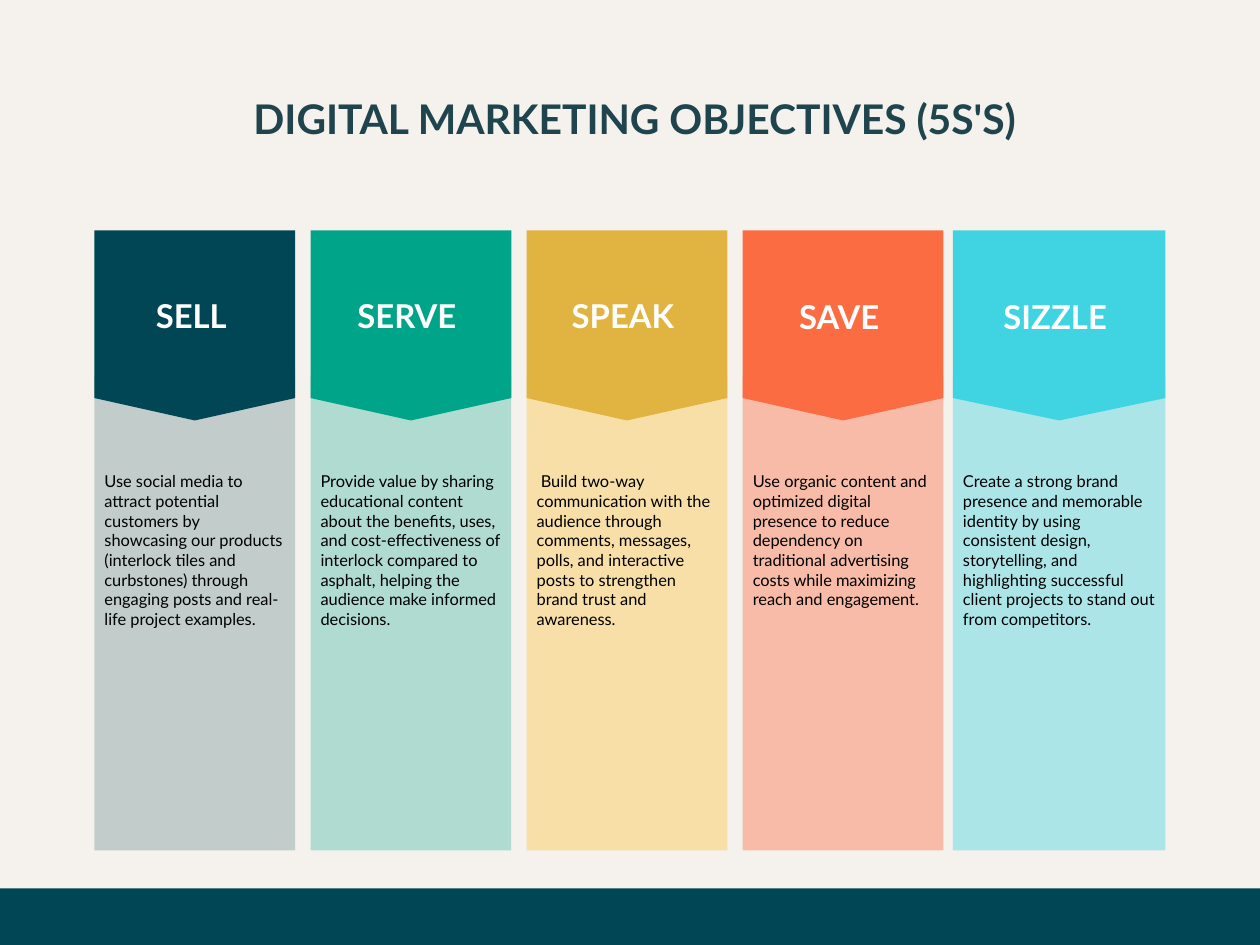
"""Build a slide of five marketing goals, one coloured column each."""
import dataclasses

import lxml.etree
import pptx
import pptx.dml.color
import pptx.enum.shapes
import pptx.enum.text
import pptx.oxml.ns
import pptx.shapes.autoshape
import pptx.slide
import pptx.text.text
import pptx.util

RGBColor = pptx.dml.color.RGBColor
Inches = pptx.util.Inches
Pt = pptx.util.Pt
Align = pptx.enum.text.PP_ALIGN
Box = pptx.enum.shapes.MSO_SHAPE.RECTANGLE

CREAM = RGBColor(0xF5, 0xF1, 0xEC)
SLATE = RGBColor(0x1F, 0x44, 0x4D)
NAVY = RGBColor(0x00, 0x46, 0x54)
GREEN = RGBColor(0x00, 0xA5, 0x89)
GOLD = RGBColor(0xE1, 0xB4, 0x41)
AMBER = RGBColor(0xFA, 0xC5, 0x41)
CORAL = RGBColor(0xFC, 0x6C, 0x43)
CYAN = RGBColor(0x40, 0xD4, 0xE2)
WHITE = RGBColor(0xFF, 0xFF, 0xFF)
BLACK = RGBColor(0x00, 0x00, 0x00)

WIDE, HIGH = 10.67, 8
LEFT, STEP = 0.8, 1.83
PAD = 0.085
TOP, EDGE, TIP = 1.95, 3.37, 3.56
BODY, BASE = 3.18, 7.2
FOOT = 7.52


@dataclasses.dataclass(frozen=True)
class Goal:
    """One column of the slide."""

    name: str
    text: str
    head: RGBColor
    tint: RGBColor
    alpha: int
    width: float = 1.7
    shift: float = 0
    drop: float = 2.5


GOALS = [
    Goal("SELL ", "Use social media to attract potential customers by showcasing our products "
         "(interlock tiles and curbstones) through engaging posts and real-life project examples.",
         NAVY, NAVY, 21),
    Goal("SERVE ", "Provide value by sharing educational content about the benefits, uses, and "
         "cost-effectiveness of interlock compared to asphalt, helping the audience make "
         "informed decisions.", GREEN, GREEN, 28),
    Goal("SPEAK ", " Build two-way communication with the audience through comments, messages, "
         "polls, and interactive posts to strengthen brand trust and awareness.",
         GOLD, AMBER, 40),
    Goal("SAVE ", "Use organic content and optimized digital presence to reduce dependency on "
         "traditional advertising costs while maximizing reach and engagement.",
         CORAL, CORAL, 40, drop=2.51),
    Goal("SIZZLE ", "Create a strong brand presence and memorable identity by using consistent "
         "design, storytelling, and highlighting successful client projects to stand out from "
         "competitors.", CYAN, CYAN, 40, width=1.8, shift=-0.05, drop=2.51),
]


def paint(shape: pptx.shapes.autoshape.Shape, color: RGBColor, alpha: int = 100) -> None:
    """Give a shape a flat fill with no line or shadow."""
    shape.shadow.inherit = False
    shape.line.fill.background()
    shape.fill.solid()
    shape.fill.fore_color.rgb = color
    if alpha < 100:
        qn = pptx.oxml.ns.qn
        tone = shape.element.spPr.find(f"{qn('a:solidFill')}/{qn('a:srgbClr')}")
        lxml.etree.SubElement(tone, qn("a:alpha"), val=str(alpha * 1000))


def draw_box(slide: pptx.slide.Slide, x: float, y: float, w: float, h: float,
             color: RGBColor, alpha: int = 100) -> None:
    """Draw a plain filled box."""
    box = slide.shapes.add_shape(Box, Inches(x), Inches(y), Inches(w), Inches(h))
    paint(box, color, alpha)


def draw_flag(slide: pptx.slide.Slide, x: float, w: float, color: RGBColor) -> None:
    """Draw a column head that ends in a point."""
    spots = [(x + w, TOP), (x + w, EDGE), (x + w / 2, TIP), (x, EDGE)]
    form = slide.shapes.build_freeform(Inches(x), Inches(TOP), scale=1.0)
    form.add_line_segments([(Inches(a), Inches(b)) for a, b in spots], close=True)
    paint(form.convert_to_shape(), color)


def write(frame: pptx.text.text.TextFrame, text: str, size: float, lead: float,
          color: RGBColor, bold: bool, align: Align) -> None:
    """Set one run of text in a frame with no margins."""
    frame.word_wrap = True
    frame.auto_size = pptx.enum.text.MSO_AUTO_SIZE.NONE
    frame.vertical_anchor = pptx.enum.text.MSO_ANCHOR.TOP
    frame.margin_left = frame.margin_right = frame.margin_top = frame.margin_bottom = 0
    para = frame.paragraphs[0]
    para.alignment = align
    para.line_spacing = Pt(lead)
    run = para.add_run()
    run.text = text
    run.font.name = "Lato"
    run.font.size = Pt(size)
    run.font.bold = bold
    run.font.color.rgb = color


def add_text(slide: pptx.slide.Slide, x: float, y: float, w: float,
             h: float) -> pptx.text.text.TextFrame:
    """Add a text box and return its frame."""
    return slide.shapes.add_textbox(Inches(x), Inches(y), Inches(w), Inches(h)).text_frame


def draw_goal(slide: pptx.slide.Slide, x: float, goal: Goal) -> None:
    """Draw one column with its head and words."""
    draw_box(slide, x, BODY, goal.width, BASE - BODY, goal.tint, goal.alpha)
    draw_flag(slide, x, goal.width, goal.head)
    left, room = x + PAD, goal.width - 2 * PAD
    write(add_text(slide, left, goal.drop, room, 0.35), goal.name, 20, 24, WHITE, True,
          Align.CENTER)
    write(add_text(slide, left, 3.99, room, 1.51), goal.text, 10, 12, BLACK, False, Align.LEFT)


def main() -> None:
    """Build and save the deck."""
    deck = pptx.Presentation()
    deck.slide_width, deck.slide_height = Inches(WIDE), Inches(HIGH)
    slide = deck.slides.add_slide(deck.slide_layouts[5])
    slide.background.fill.solid()
    slide.background.fill.fore_color.rgb = CREAM
    title = slide.shapes.title
    title.left, title.top = Inches(LEFT), Inches(0.79)
    title.width, title.height = Inches(9.07), Inches(0.42)
    write(title.text_frame, " DIGITAL MARKETING OBJECTIVES (5S'S)", 24.9, 29.9, SLATE, True,
          Align.CENTER)
    for i, goal in enumerate(GOALS):
        draw_goal(slide, LEFT + i * STEP + goal.shift, goal)
    draw_box(slide, 0, FOOT, WIDE, HIGH - FOOT, NAVY)
    deck.save("out.pptx")


if __name__ == "__main__":
    main()
